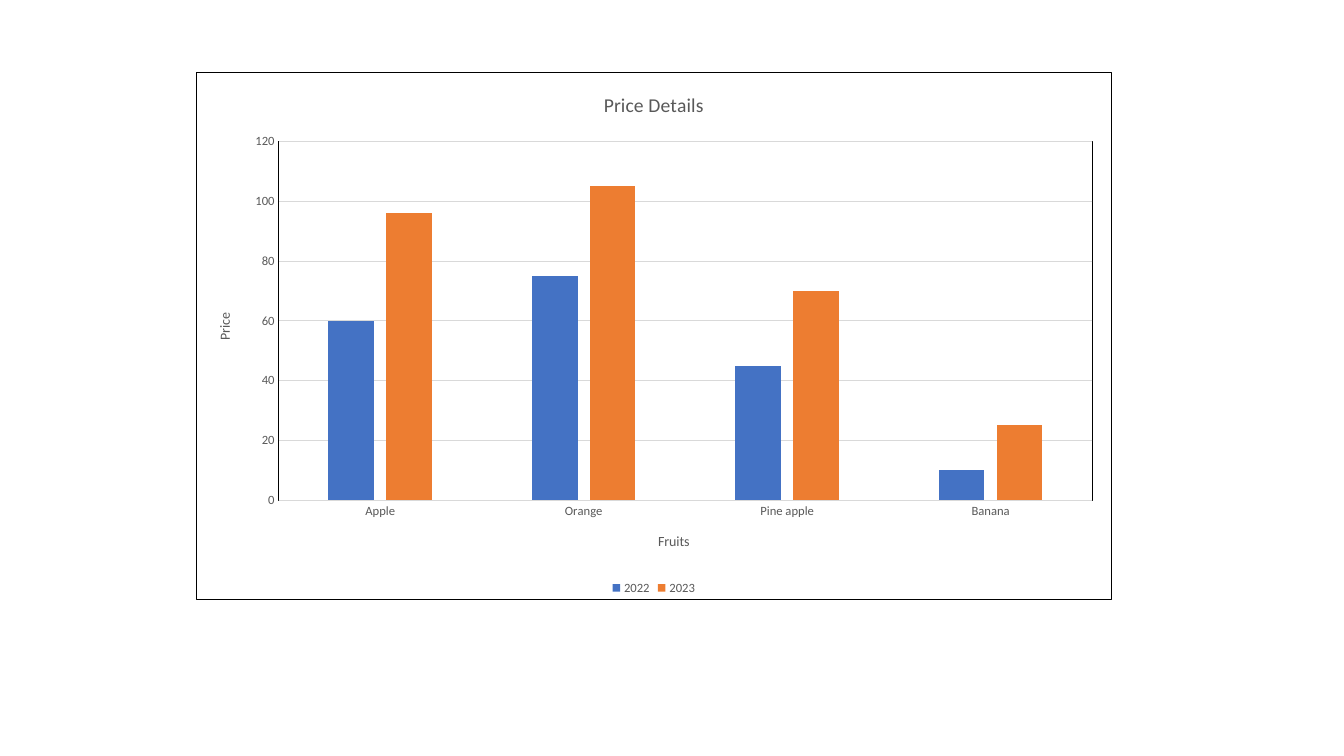
from lxml import etree
from pptx import Presentation
from pptx.chart.data import CategoryChartData
from pptx.dml.color import RGBColor
from pptx.enum.chart import XL_CHART_TYPE, XL_LEGEND_POSITION, XL_TICK_MARK
from pptx.oxml import parse_xml
from pptx.oxml.ns import nsdecls, qn
from pptx.util import Inches, Pt

BLUE = RGBColor(0x44, 0x72, 0xC4)
ORANGE = RGBColor(0xED, 0x7D, 0x31)
GRAY = RGBColor(0x59, 0x59, 0x59)
LIGHT_GRAY = RGBColor(0xD9, 0xD9, 0xD9)
BLACK = RGBColor(0, 0, 0)


def style_font(font, size, color=GRAY):
    font.name = "Calibri"
    font.size = Pt(size)
    font.bold = False
    font.color.rgb = color


def set_title(owner, text, size):
    owner.has_title = True
    paragraph = owner_title(owner).text_frame.paragraphs[0]
    paragraph.text = text
    style_font(paragraph.runs[0].font, size)


owner_title = lambda owner: getattr(owner, "chart_title", None) or owner.axis_title

presentation = Presentation()
presentation.slide_width = Inches(13.33)
presentation.slide_height = Inches(7.5)
slide = presentation.slides.add_slide(presentation.slide_layouts[6])

price_data = CategoryChartData()
price_data.categories = ["Apple", "Orange", "Pine apple", "Banana"]
price_data.add_series("2022", [60, 75, 45, 10])
price_data.add_series("2023", [96, 105, 70, 25])
chart = slide.shapes.add_chart(
    XL_CHART_TYPE.COLUMN_CLUSTERED,
    Inches(1.94), Inches(0.71), Inches(9.09), Inches(5.24), price_data,
).chart
style_font(chart.font, 10, BLACK)

set_title(chart, "Price Details", 14)
chart.chart_title.include_in_layout = False
set_title(chart.category_axis, "Fruits", 10)
set_title(chart.value_axis, "Price", 10)

for axis in (chart.category_axis, chart.value_axis):
    axis.major_tick_mark = XL_TICK_MARK.NONE
    axis.minor_tick_mark = XL_TICK_MARK.NONE
    style_font(axis.tick_labels.font, 9)

gridlines = chart.value_axis.major_gridlines
for line in (chart.category_axis.format.line, gridlines.format.line):
    line.color.rgb = LIGHT_GRAY
    line.width = Pt(0.75)
chart.value_axis.format.line.fill.background()
chart.value_axis.minimum_scale = 0
chart.value_axis.maximum_scale = 120
chart.value_axis.major_unit = 20

chart.has_legend = True
chart.legend.position = XL_LEGEND_POSITION.BOTTOM
chart.legend.include_in_layout = False
style_font(chart.legend.font, 9)

plot = chart.plots[0]
plot.gap_width = 219
plot.overlap = -27
plot.vary_by_categories = False
for series, color in zip(plot.series, (BLUE, ORANGE)):
    series.format.fill.solid()
    series.format.fill.fore_color.rgb = color

chart_element = chart.element.find(qn("c:chart"))
plot_area = chart_element.find(qn("c:plotArea"))
for old_layout in plot_area.findall(qn("c:layout")):
    plot_area.remove(old_layout)
layout = etree.Element(qn("c:layout"))
manual_layout = etree.SubElement(layout, qn("c:manualLayout"))
for tag, value in (
    ("layoutTarget", "inner"), ("xMode", "edge"), ("yMode", "edge"),
    ("x", "0.09"), ("y", "0.132"), ("w", "0.889"), ("h", "0.68"),
):
    etree.SubElement(manual_layout, qn(f"c:{tag}")).set("val", value)
plot_area.insert(0, layout)

for add_border, fill in (
    (chart_element.addnext, '<a:solidFill><a:srgbClr val="FFFFFF"/></a:solidFill>'),
    (plot_area.append, "<a:noFill/>"),
):
    add_border(parse_xml(
        f'<c:spPr {nsdecls("c", "a")}>{fill}<a:ln w="{Pt(0.75)}"><a:solidFill>'
        f'<a:srgbClr val="{BLACK}"/></a:solidFill></a:ln></c:spPr>'
    ))

presentation.save("out.pptx")
